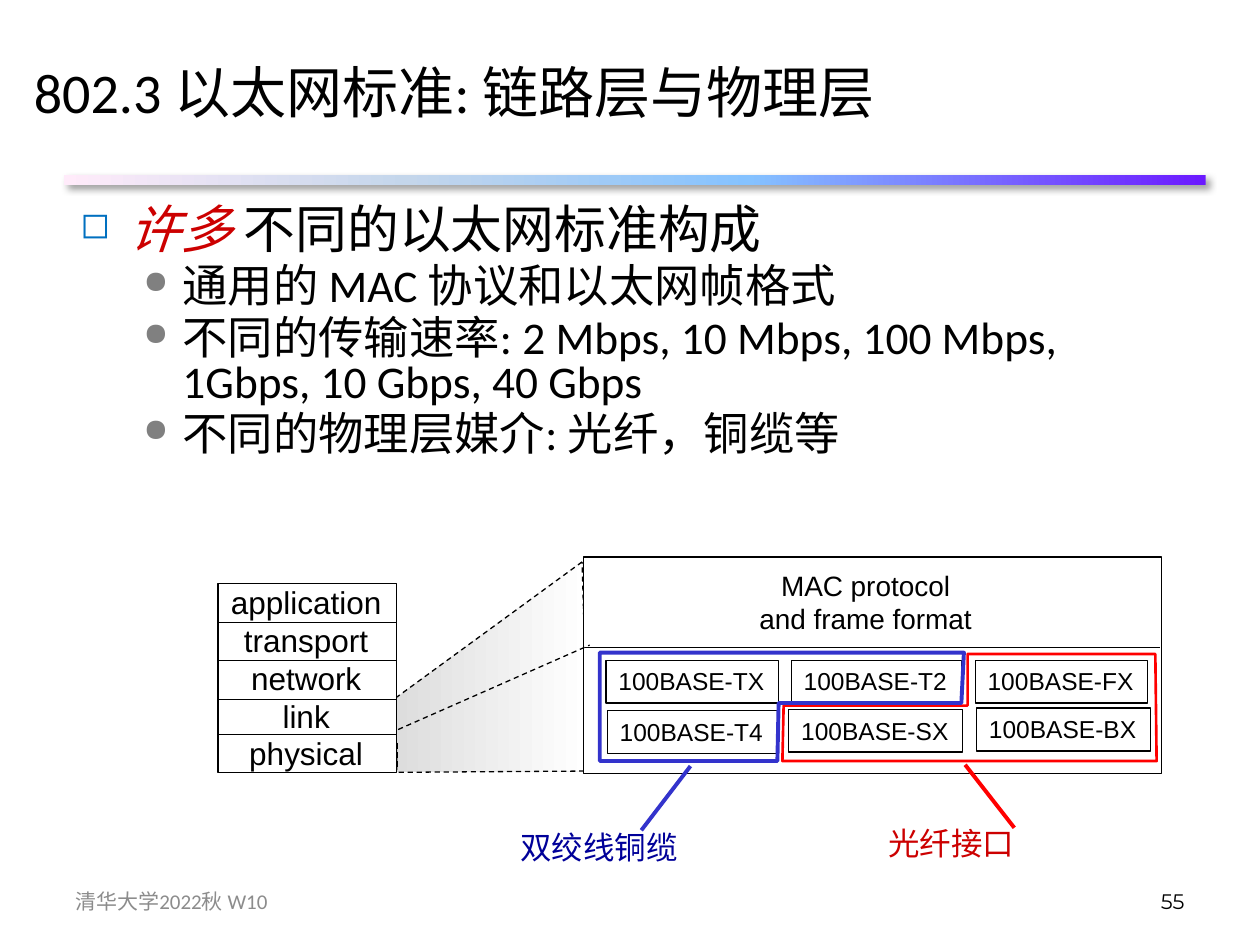
from lxml import etree
from pptx import Presentation
from pptx.dml.color import RGBColor
from pptx.enum.dml import MSO_LINE
from pptx.enum.shapes import MSO_CONNECTOR, MSO_SHAPE
from pptx.enum.text import MSO_ANCHOR, PP_ALIGN
from pptx.oxml.ns import qn
from pptx.util import Inches, Pt

RECT, STRAIGHT, DASH = MSO_SHAPE.RECTANGLE, MSO_CONNECTOR.STRAIGHT, MSO_LINE.DASH
LEFT, CENTER, RIGHT = PP_ALIGN.LEFT, PP_ALIGN.CENTER, PP_ALIGN.RIGHT
TOP, MIDDLE = MSO_ANCHOR.TOP, MSO_ANCHOR.MIDDLE
BLACK, WHITE, RED, BLUE = "000000", "FFFFFF", "FF0000", "3333CC"

TITLE = "802.3 以太网标准: 链路层与物理层"
EMPHASIS, HEADLINE = "许多 ", "不同的以太网标准构成"
POINTS = [
    "通用的 MAC 协议和以太网帧格式",
    "不同的传输速率: 2 Mbps, 10 Mbps, 100 Mbps, 1Gbps, 10 Gbps, 40 Gbps",
    "不同的物理层媒介: 光纤，铜缆等",
]
RULE_STOPS = [(0, "6B19FF"), (40, "85C2FF"), (70, "C4D6EB"), (100, "FFEBFA")]
ZOOM_STOPS = [(0, "DDDDDD"), (100, WHITE)]
LAYERS = ["application", "transport", "network", "link", "physical"]
LAYER_LINES = [4.94, 5.24, 5.55, 5.83]
MAC = ["MAC protocol", "and frame format"]
STANDARDS = [
    ("100BASE-TX", 4.81, 5.24, 1.37),
    ("100BASE-T2", 6.28, 5.24, 1.35),
    ("100BASE-FX", 7.74, 5.24, 1.37),
    ("100BASE-T4", 4.82, 5.64, 1.35),
    ("100BASE-SX", 6.26, 5.63, 1.38),
    ("100BASE-BX", 7.75, 5.62, 1.38),
]
MEDIA = [
    ("光纤接口", "CC0000", (6.95, 6.49, 1.21, 0.4), RED, 1.5,
     [(7.68, 5.19), (7.68, 5.6), (6.22, 5.6), (6.21, 6.04), (9.18, 6.04), (9.17, 5.19)],
     (7.66, 6.07, 8.05, 6.57)),
    ("双绞线铜缆", "000099", (4.03, 6.52, 1.46, 0.4), BLUE, 2.25,
     [(7.65, 5.18), (7.63, 5.58), (6.18, 5.58), (6.17, 6.04), (4.76, 6.04), (4.76, 5.18)],
     (5.48, 6.08, 5.09, 6.59)),
]


def rgb(color):
    return RGBColor.from_string(color)


def add_xml(parent, tag, **attributes):
    return etree.SubElement(parent, qn(tag), attributes)


def style(shape, fill=None, line=None, width=0.75, dash=None):
    shape.shadow.inherit = False
    if fill:
        shape.fill.solid()
        shape.fill.fore_color.rgb = rgb(fill)
    else:
        shape.fill.background()
    if line:
        stroke(shape, line, width, dash)
    else:
        shape.line.fill.background()


def stroke(shape, color, width, dash):
    shape.line.color.rgb = rgb(color)
    shape.line.width = Pt(width)
    if dash:
        shape.line.dash_style = dash


def gradient(shape, stops, angle):
    shape.fill.gradient()
    shape.fill.gradient_angle = angle
    stop_list = shape.fill._fill._gradFill.find(qn("a:gsLst"))
    for stop in list(stop_list):
        stop_list.remove(stop)
    for position, color in stops:
        stop = add_xml(stop_list, "a:gs", pos=str(position * 1000))
        add_xml(stop, "a:srgbClr", val=color)


def box(x, y, w, h, **look):
    shape = slide.shapes.add_shape(RECT, Inches(x), Inches(y), Inches(w), Inches(h))
    style(shape, **look)
    return shape


def line(x1, y1, x2, y2, color=BLACK, width=0.75, dash=None):
    connector = slide.shapes.add_connector(
        STRAIGHT, Inches(x1), Inches(y1), Inches(x2), Inches(y2))
    stroke(connector, color, width, dash)
    add_xml(connector._element.spPr, "a:effectLst")


def outline(points, close=True, **look):
    builder = slide.shapes.build_freeform(*map(Inches, points[0]))
    builder.add_line_segments([(Inches(x), Inches(y)) for x, y in points[1:]], close=close)
    shape = builder.convert_to_shape()
    style(shape, **look)
    return shape


def font(run, size, name, color):
    run.font.size, run.font.name = Pt(size), name
    run.font.color.rgb = rgb(color)


def write(shape, lines, size, name="Arial", color=BLACK, align=LEFT, anchor=TOP, wrap=False):
    frame = shape.text_frame
    frame.word_wrap = wrap
    frame.vertical_anchor = anchor
    frame.text = "\n".join(lines)
    for paragraph in frame.paragraphs:
        paragraph.alignment = align
        for run in paragraph.runs:
            font(run, size, name, color)


def label(x, y, w, h, lines, size, **look):
    text = slide.shapes.add_textbox(Inches(x), Inches(y), Inches(w), Inches(h))
    write(text, lines, size, **look)
    return text


def bullet(paragraph, mark, color, left, hanging, before):
    paragraph.line_spacing = 0.8
    paragraph.space_before = Pt(before)
    properties = paragraph._p.get_or_add_pPr()
    properties.set("marL", str(Inches(left)))
    properties.set("indent", str(-Inches(hanging)))
    add_xml(add_xml(properties, "a:buClr"), "a:srgbClr", val=color)
    add_xml(properties, "a:buSzPct", val="70000")
    add_xml(properties, "a:buChar", char=mark)


prs = Presentation()
prs.slide_width, prs.slide_height = Inches(10), Inches(7.5)
slide = prs.slides.add_slide(prs.slide_layouts[6])

rule = box(0.51, 1.39, 9.06, 0.08)
gradient(rule, RULE_STOPS, 180)
shadow = add_xml(rule._element.spPr.find(qn("a:effectLst")), "a:outerShdw",
                 blurRad=str(Pt(4)), dist=str(Pt(3)), dir="2700000")
add_xml(add_xml(shadow, "a:srgbClr", val=BLACK), "a:alpha", val="40000")

label(0.17, 0.1, 9.53, 1.25, [TITLE], 32, name="Calibri", anchor=MIDDLE, wrap=True)
body = label(0.54, 1.61, 8.5, 2.3, [EMPHASIS] + POINTS, 25.9, name="Calibri", wrap=True)
headline, *details = body.text_frame.paragraphs
headline.add_run().text = HEADLINE
for run, color in zip(headline.runs, ("CC0000", BLACK)):
    font(run, 29.6, "Calibri", color)
headline.runs[0].font.italic = True
bullet(headline, "◻", "0070C0", 0.38, 0.38, 6)
for detail in details:
    detail.level = 1
    bullet(detail, "●", "808080", 0.81, 0.31, 5)

zoom = outline([(4.62, 4.46), (3.14, 5.54), (3.15, 6.13), (4.67, 6.12)], line=BLACK, dash=DASH)
gradient(zoom, ZOOM_STOPS, 0)

box(1.73, 4.63, 1.42, 1.5, fill=WHITE, line=BLACK)
label(1.73, 4.58, 1.4, 1.6, LAYERS, 18, align=CENTER)
for y in LAYER_LINES:
    line(1.73, y, 3.15, y)
for x in (1.73, 3.15):
    line(x, 5.9, x, 6.09, dash=DASH)

box(4.63, 4.42, 4.59, 1.72, fill=WHITE, line=BLACK)
line(4.64, 5.14, 9.21, 5.14)
label(5.92, 4.46, 1.9, 0.64, MAC, 16, align=CENTER)
outline([(3.16, 5.79), (4.68, 5.12)], close=False, line=BLACK, dash=DASH)
for standard, x, y, w in STANDARDS:
    write(box(x, y, w, 0.34, line=BLACK), [standard], 14)

for medium, text_color, place, color, width, border, pointer in MEDIA:
    outline(border, line=color, width=width)
    line(*pointer, color=color, width=2.25)
    label(*place, [medium], 18, color=text_color)

label(7.17, 6.95, 2.33, 0.4, ["55"], 12, name="Montserrat",
      align=RIGHT, anchor=MIDDLE, wrap=True)
label(0.5, 6.95, 2.33, 0.4, ["清华大学2022秋 W10"], 12, name="Calibri",
      color="8C8C8C", anchor=MIDDLE, wrap=True)

prs.save("out.pptx")
